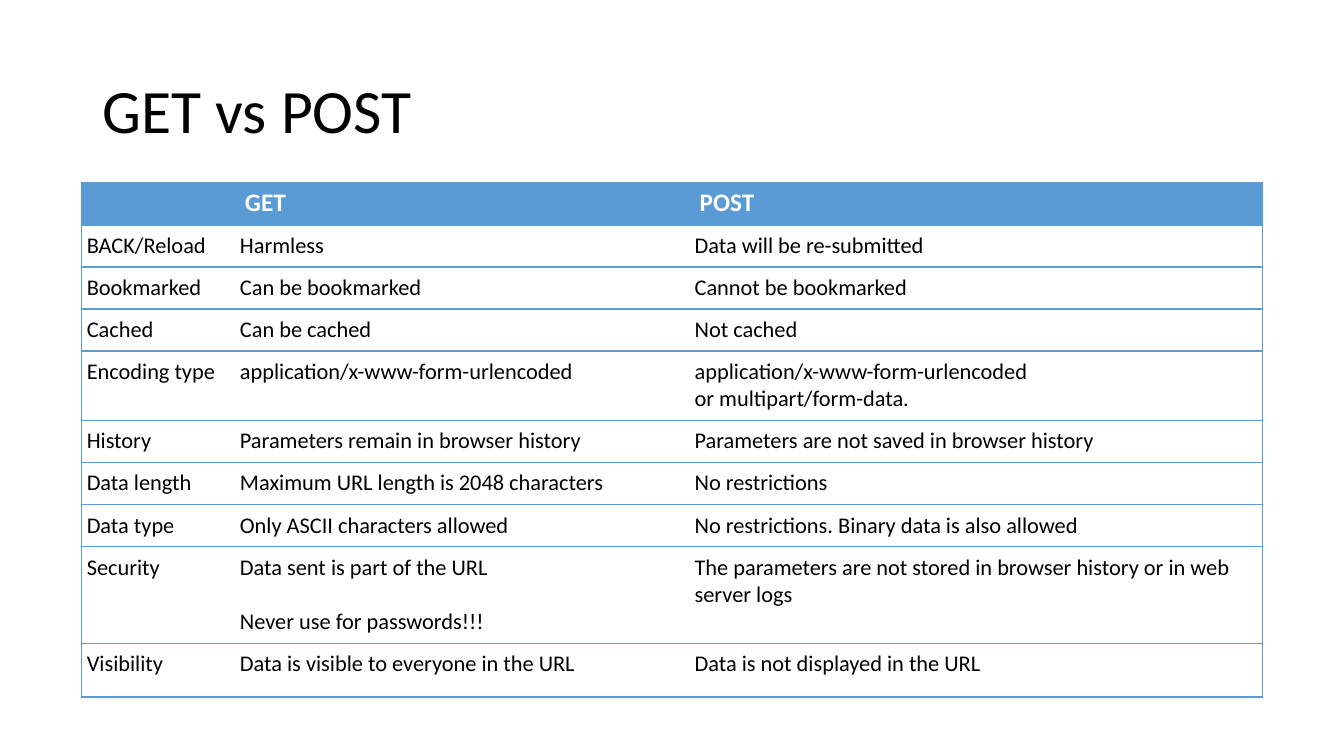
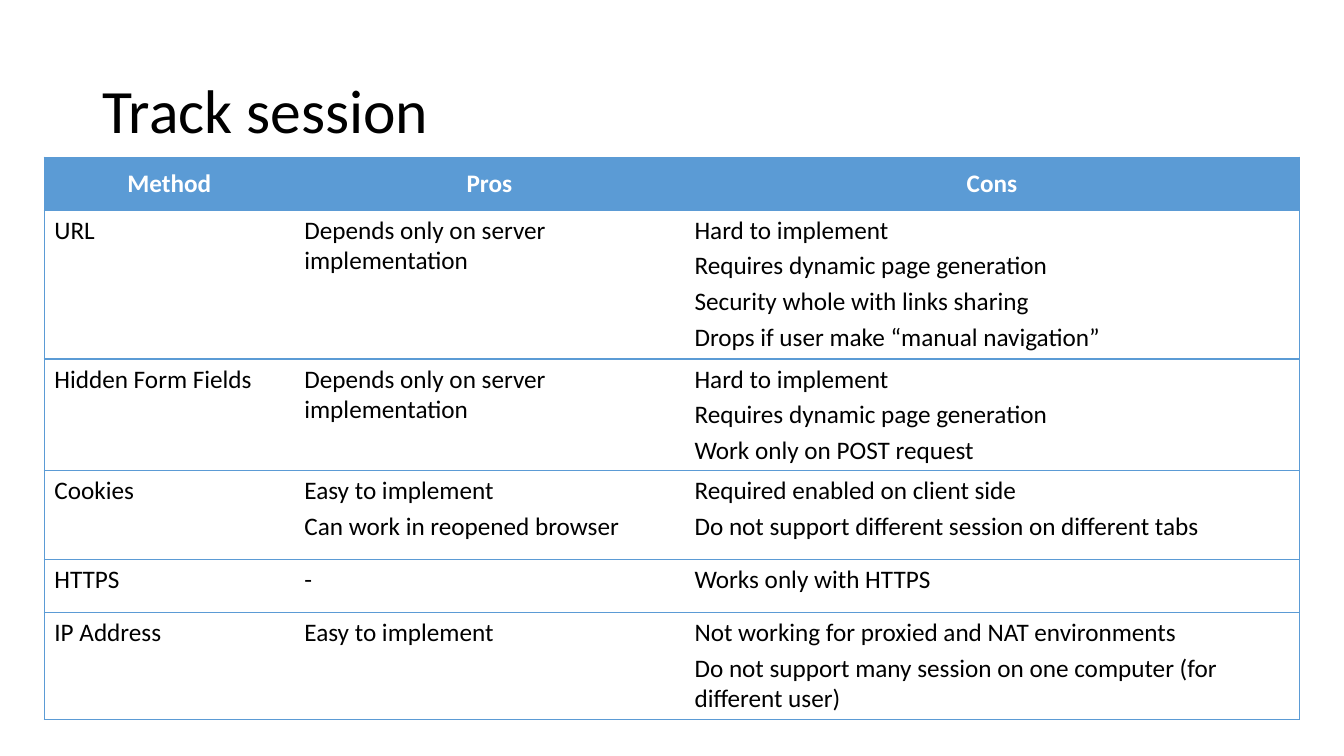
from dataclasses import dataclass

from lxml import etree
from pptx import Presentation
from pptx import util as u
from pptx.dml.color import RGBColor
from pptx.enum import text
from pptx.oxml import ns


@dataclass(frozen=True)
class Theme:
    font: str = "Calibri"
    accent: str = "5B9BD5"
    paper: str = "FFFFFF"
    ink: str = "000000"
    title_size: float = 44
    header_size: float = 18
    border: float = 1


@dataclass(frozen=True)
class TableStyle:
    body_size: float = 18
    body_margins: tuple = (0.1, 0.05)
    paragraph_gap: float = 0
    header_align: text.PP_ALIGN = text.PP_ALIGN.LEFT
    header_anchor: text.MSO_ANCHOR = text.MSO_ANCHOR.TOP


class Deck:
    def __init__(self, theme):
        self.theme = theme
        self.presentation = Presentation()
        self.presentation.slide_width = u.Inches(13.33)
        self.presentation.slide_height = u.Inches(7.5)
        self.slide = None

    def across(self, percent):
        return round(self.presentation.slide_width * percent / 100)

    def down(self, percent):
        return round(self.presentation.slide_height * percent / 100)

    def new_slide(self, title):
        self.slide = self.presentation.slides.add_slide(self.presentation.slide_layouts[6])
        box = self.slide.shapes.add_textbox(
            self.across(6.9), self.down(5.33), self.across(86.25), self.down(19.33)
        )
        frame = box.text_frame
        frame.word_wrap = True
        frame.vertical_anchor = text.MSO_ANCHOR.MIDDLE
        paragraph = frame.paragraphs[0]
        paragraph.text = title
        paragraph.line_spacing = 0.9
        self.style_font(paragraph, self.theme.title_size, self.theme.ink)

    def style_font(self, paragraph, size, color, bold=False):
        font = paragraph.font
        font.name = self.theme.font
        font.size = u.Pt(size)
        font.bold = bold
        font.color.rgb = RGBColor.from_string(color)

    def cell_border(self, cell, side, visible):
        properties = cell._tc.get_or_add_tcPr()
        line = etree.SubElement(properties, ns.qn(f"a:ln{side}"))
        if visible:
            line.set("w", str(u.Pt(self.theme.border)))
            fill = etree.SubElement(line, ns.qn("a:solidFill"))
            etree.SubElement(fill, ns.qn("a:srgbClr"), val=self.theme.accent)
        else:
            etree.SubElement(line, ns.qn("a:noFill"))

    def fill_cell(self, cell, content, style, header):
        theme = self.theme
        cell.fill.solid()
        cell.fill.fore_color.rgb = RGBColor.from_string(theme.accent if header else theme.paper)
        if header:
            cell.vertical_anchor = style.header_anchor
        else:
            side, edge = style.body_margins
            cell.margin_left = cell.margin_right = u.Inches(side)
            cell.margin_top = cell.margin_bottom = u.Inches(edge)
        cell.text_frame.text = content
        for index, paragraph in enumerate(cell.text_frame.paragraphs):
            if index and style.paragraph_gap:
                paragraph.space_before = u.Pt(style.paragraph_gap)
            if header:
                paragraph.alignment = style.header_align
                self.style_font(paragraph, theme.header_size, theme.paper, True)
            else:
                self.style_font(paragraph, style.body_size, theme.ink)

    def add_table(self, left, top, widths, heights, rows, style):
        frame = self.slide.shapes.add_table(
            len(rows), len(widths), self.across(left), self.down(top),
            self.across(sum(widths)), self.down(sum(heights)),
        )
        table = frame.table
        table.horz_banding = False
        for column, width in zip(table.columns, widths):
            column.width = self.across(width)
        for row, height in zip(table.rows, heights):
            row.height = self.down(height)
        last = len(widths) - 1
        for row_index, contents in enumerate(rows):
            for column_index, content in enumerate(contents):
                cell = table.cell(row_index, column_index)
                self.cell_border(cell, "L", column_index == 0)
                self.cell_border(cell, "R", column_index == last)
                self.cell_border(cell, "T", True)
                self.cell_border(cell, "B", True)
                self.fill_cell(cell, content, style, row_index == 0)
        return table


REQUEST_ROWS = [
    ("", "GET", "POST"),
    ("BACK/Reload", "Harmless", "Data will be re-submitted"),
    ("Bookmarked", "Can be bookmarked", "Cannot be bookmarked"),
    ("Cached", "Can be cached", "Not cached"),
    ("Encoding type", "application/x-www-form-urlencoded",
     "application/x-www-form-urlencoded\nor multipart/form-data."),
    ("History", "Parameters remain in browser history",
     "Parameters are not saved in browser history"),
    ("Data length", "Maximum URL length is 2048 characters", "No restrictions"),
    ("Data type", "Only ASCII characters allowed",
     "No restrictions. Binary data is also allowed"),
    ("Security", "Data sent is part of the URL\nNever use for passwords!!!",
     "The parameters are not stored in browser history or in web server logs"),
    ("Visibility", "Data is visible to everyone in the URL",
     "Data is not displayed in the URL"),
]

SESSION_ROWS = [
    ("Method", "Pros", "Cons"),
    ("URL", "Depends only on server implementation",
     "Hard to implement\nRequires dynamic page generation\n"
     "Security whole with links sharing\nDrops if user make “manual navigation”"),
    ("Hidden Form Fields", "Depends only on server implementation",
     "Hard to implement\nRequires dynamic page generation\nWork only on POST request"),
    ("Cookies", "Easy to implement\nCan work in reopened browser",
     "Required enabled on client side\nDo not support different session on different tabs"),
    ("HTTPS", "-", "Works only with HTTPS"),
    ("IP Address", "Easy to implement",
     "Not working for proxied and NAT environments\n"
     "Do not support many session on one computer (for different user)"),
]


def main():
    deck = Deck(Theme())

    deck.new_slide("GET vs POST")
    single, double, triple, closing = 5.56, 9.2, 12.8, 7.1
    heights = [single] * 4 + [double] + [single] * 3 + [triple, closing]
    requests = deck.add_table(
        6.08, 24.2, [11.4, 33.83, 42.6], heights, REQUEST_ROWS,
        TableStyle(body_size=16, body_margins=(0.05, 0.07)),
    )
    warning = requests.cell(8, 1).text_frame.paragraphs[1]
    warning.space_before = u.Pt(19.5)

    deck.new_slide("Track session")
    deck.add_table(
        3.3, 20.8, [18.6, 29.03, 45.76], [7, 19.7, 14.8, 11.7, 7, 14.2], SESSION_ROWS,
        TableStyle(
            paragraph_gap=3.6,
            header_align=text.PP_ALIGN.CENTER,
            header_anchor=text.MSO_ANCHOR.MIDDLE,
        ),
    )

    deck.presentation.save("out.pptx")


if __name__ == "__main__":
    main()
